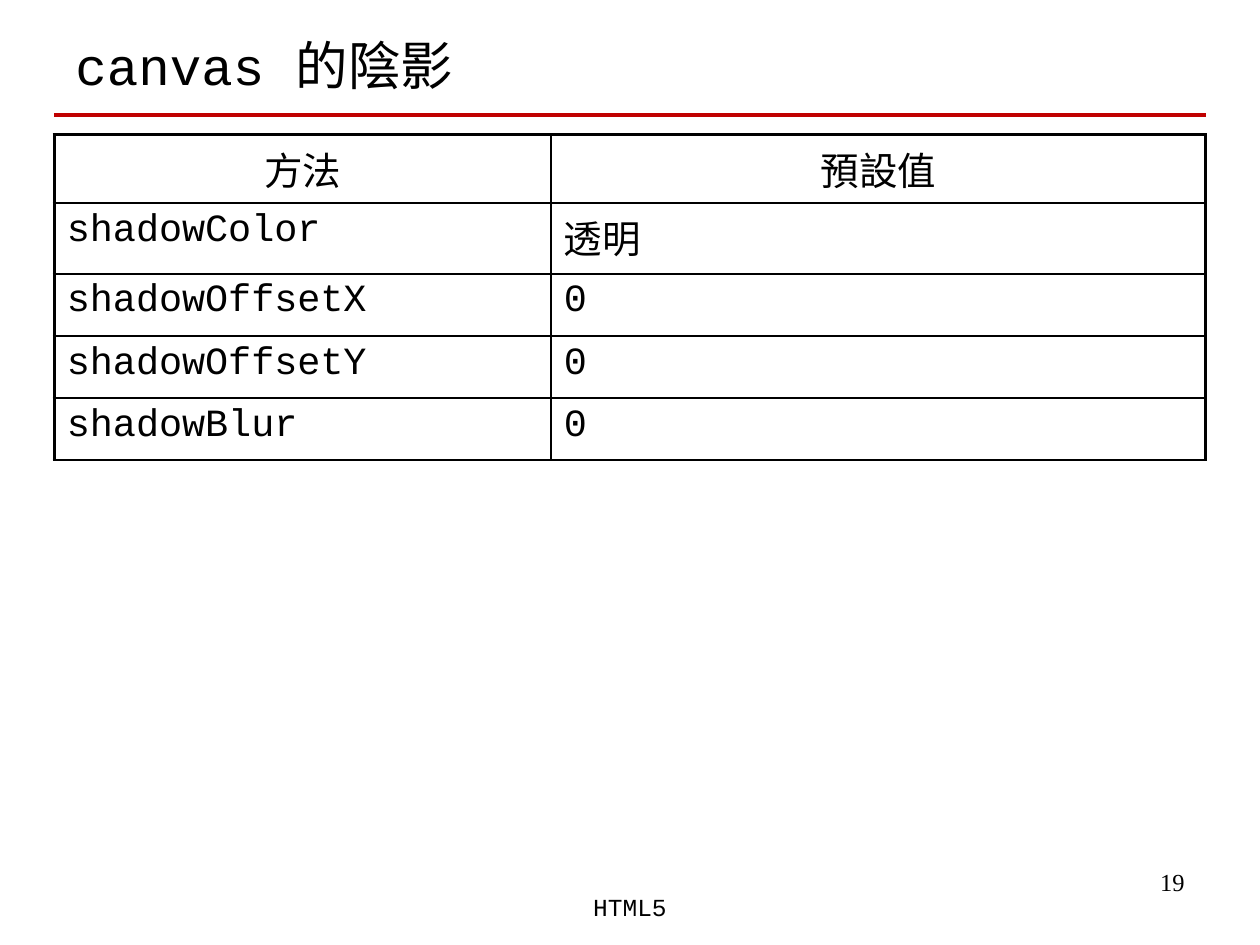
from lxml import etree
from pptx import Presentation
from pptx.dml.color import RGBColor
from pptx.enum.shapes import MSO_CONNECTOR
from pptx.enum.text import MSO_ANCHOR, PP_ALIGN
from pptx.oxml.ns import qn
from pptx.util import Pt

LEFT, CENTER, RIGHT = PP_ALIGN.LEFT, PP_ALIGN.CENTER, PP_ALIGN.RIGHT
TOP, MIDDLE = MSO_ANCHOR.TOP, MSO_ANCHOR.MIDDLE
STRAIGHT = MSO_CONNECTOR.STRAIGHT
BLACK, RED = "000000", "C00000"
THICK, THIN = 2.25, 1


def color(hex_code):
    return RGBColor.from_string(hex_code)


def write(frame, text, size=22, font="Courier New", align=LEFT, anchor=TOP):
    frame.word_wrap = True
    frame.vertical_anchor = anchor
    paragraph = frame.paragraphs[0]
    paragraph.alignment = align
    run = paragraph.add_run()
    run.text = text
    run.font.size = Pt(size)
    run.font.name = font
    run.font.color.rgb = color(BLACK)


prs = Presentation()
prs.slide_width, prs.slide_height = Pt(720), Pt(540)
slide = prs.slides.add_slide(prs.slide_layouts[6])
shapes = slide.shapes

# Page number, title and footer
labels = [
    ((516, 492, 168, 37.5), "19",
     dict(size=14, font="Times New Roman", align=RIGHT)),
    ((36, 9.5, 648, 54.5), "canvas 的陰影", dict(size=30, anchor=MIDDLE)),
    ((246, 506, 228, 36), "HTML5", dict(size=14, align=CENTER)),
]
for box, text, style in labels:
    label = shapes.add_textbox(*map(Pt, box))
    write(label.text_frame, text, **style)

# Rule under the title
rule = shapes.add_connector(STRAIGHT, Pt(31), Pt(65.5), Pt(689), Pt(65.5))
rule.line.color.rgb = color(RED)
rule.line.width = Pt(THICK)
etree.SubElement(rule._element.spPr, qn("a:effectLst"))

# Table of shadow properties and their defaults
rows = [
    ("方法", "預設值"),
    ("shadowColor", "透明"),
    ("shadowOffsetX", "0"),
    ("shadowOffsetY", "0"),
    ("shadowBlur", "0"),
]
column_widths = [284, 374]
row_heights = [39, 40.5, 35.5, 35.5, 35.5]
properties = shapes.add_table(
    len(rows), len(column_widths), Pt(31), Pt(77),
    Pt(sum(column_widths)), Pt(sum(row_heights))).table
properties.first_row = properties.horz_banding = False
for column, width in zip(properties.columns, column_widths):
    column.width = Pt(width)
for row, height in zip(properties.rows, row_heights):
    row.height = Pt(height)

for r, values in enumerate(rows):
    for c, value in enumerate(values):
        cell = properties.cell(r, c)
        write(cell.text_frame, value, align=CENTER if r == 0 else LEFT)

        # Thick border on the left, top and right outside edges
        borders = {
            "a:lnL": THICK if c == 0 else THIN,
            "a:lnR": THICK if c == len(values) - 1 else THIN,
            "a:lnT": THICK if r == 0 else THIN,
            "a:lnB": THIN,
        }
        cell_format = cell._tc.get_or_add_tcPr()
        for side, width in borders.items():
            border = etree.SubElement(cell_format, qn(side), w=str(Pt(width)))
            fill = etree.SubElement(border, qn("a:solidFill"))
            etree.SubElement(fill, qn("a:srgbClr"), val=BLACK)
        cell.fill.background()

prs.save("out.pptx")
